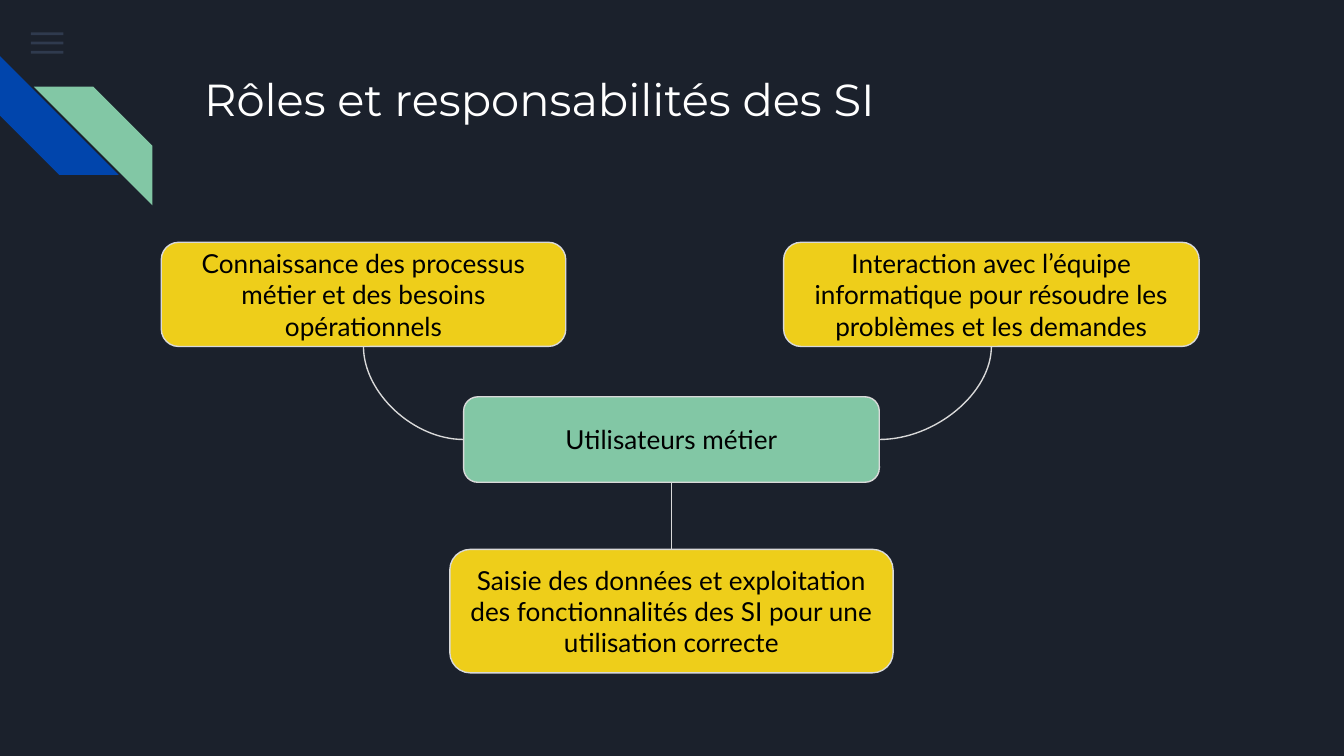
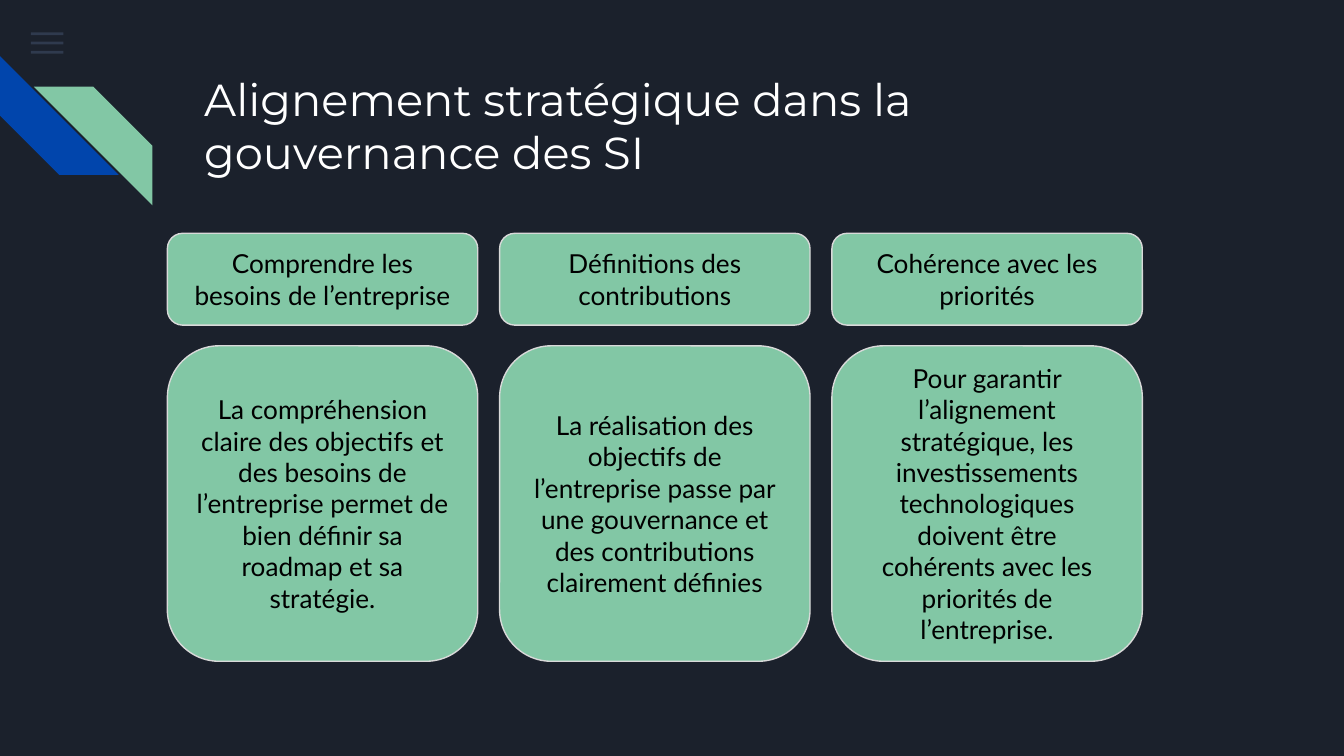
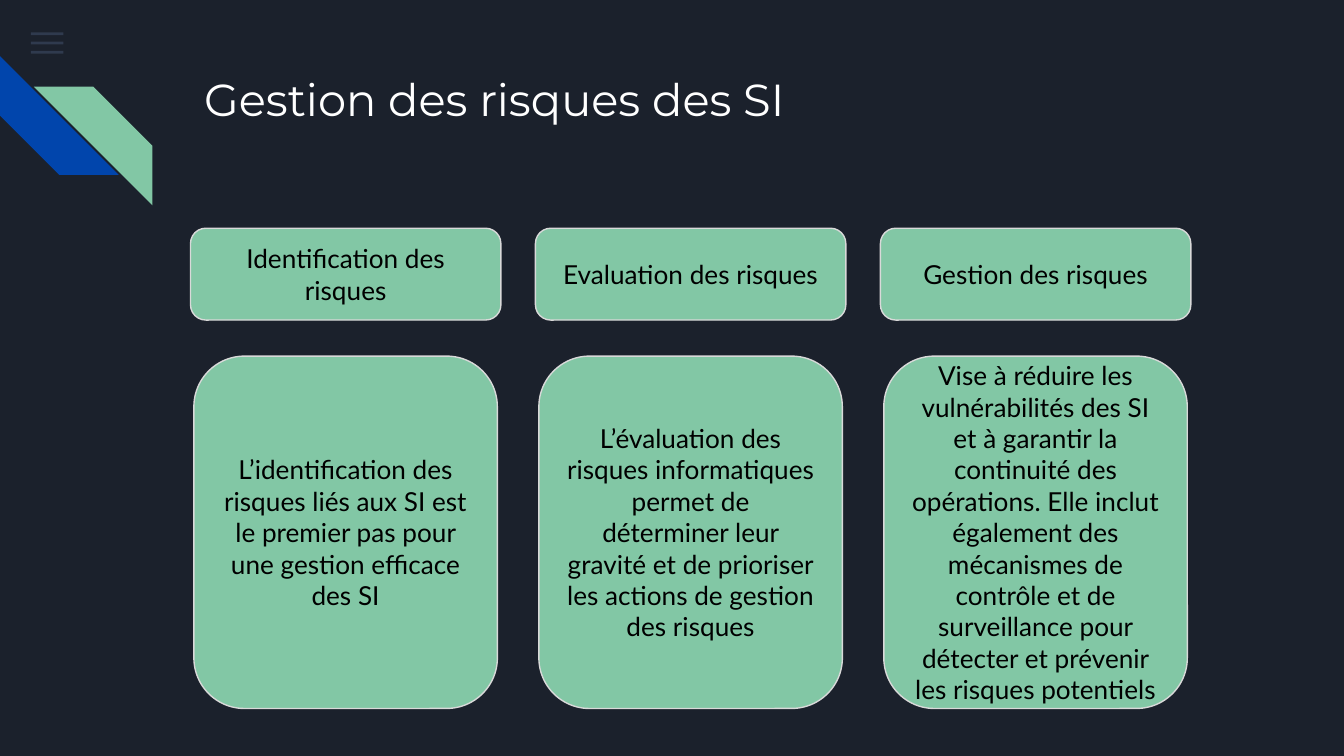
"""Build three slides on the governance of information systems."""
from lxml.etree import SubElement
from pptx import Presentation
from pptx.dml.color import RGBColor
from pptx.enum.shapes import MSO_CONNECTOR as CONN, MSO_SHAPE as SHAPE
from pptx.enum.text import MSO_ANCHOR as ANCHOR, MSO_AUTO_SIZE as AUTO, PP_ALIGN as ALIGN
from pptx.oxml.ns import qn
from pptx.util import Pt

BACK, WHITE, BLACK = "1B212C", "FFFFFF", "000000"
BLUE, GREEN, YELLOW, SLATE, EDGE = "0145AC", "82C7A5", "EECE1A", "55688B", "D9D9D9"
TOP, LEFT, BOTTOM, RIGHT = range(4)
ROLES = [
    ("Connaissance des processus métier et des besoins opérationnels",
     (86.4, 129.8, 216.7, 55.8), LEFT, BOTTOM, CONN.CURVE),
    ("Interaction avec l’équipe informatique pour résoudre les problèmes et les demandes",
     (419.8, 129.8, 222.6, 55.8), RIGHT, BOTTOM, CONN.CURVE),
    ("Saisie des données et exploitation des fonctionnalités des SI pour une utilisation correcte",
     (241, 294.3, 237.5, 66.2), BOTTOM, TOP, CONN.STRAIGHT),
]
ALIGNMENT = [
    ("Comprendre les besoins de l’entreprise",
     "La compréhension claire des objectifs et des besoins de l’entreprise permet de bien "
     "définir sa roadmap et sa stratégie."),
    ("Définitions des contributions",
     "La réalisation des objectifs de l’entreprise passe par une gouvernance et des "
     "contributions clairement définies"),
    ("Cohérence avec les priorités",
     "Pour garantir l’alignement stratégique, les investissements technologiques doivent "
     "être cohérents avec les priorités de l’entreprise."),
]
RISKS = [
    ("Identification des risques",
     "L’identification des risques liés aux SI est le premier pas pour une gestion efficace des SI"),
    ("Evaluation des risques",
     "L’évaluation des risques informatiques permet de déterminer leur gravité et de "
     "prioriser les actions de gestion des risques"),
    ("Gestion des risques",
     "Vise à réduire les vulnérabilités des SI et à garantir la continuité des opérations. "
     "Elle inclut également des mécanismes de contrôle et de surveillance pour détecter et "
     "prévenir les risques potentiels"),
]


def rgb(color):
    return RGBColor.from_string(color)


class Deck:
    def __init__(self):
        self.prs = Presentation()
        self.prs.slide_width, self.prs.slide_height = Pt(720), Pt(405)
        self.layout = self.prs.slide_layouts[5]
        fill = self.prs.slide_master.background.fill
        fill.solid()
        fill.fore_color.rgb = rgb(BACK)
        self.slide = None

    def new_slide(self, title):
        first = self.slide is None
        self.slide = self.prs.slides.add_slide(self.layout)
        if first:
            self.decorate_layout()
        sp = self.slide.shapes.title
        sp.left, sp.top, sp.width, sp.height = Pt(102.2), Pt(31), Pt(554.4), Pt(72)
        self.set_text(sp, title, "Montserrat", 24, WHITE, ALIGN.LEFT, ANCHOR.TOP)

    def decorate_layout(self):
        parts = []
        for i in range(3):
            bar = self.shape(SHAPE.RECTANGLE, (16.6, 17.3 + 4.95 * i, 17.4, 1.5), SLATE)
            for clr in bar.element.iter(qn("a:srgbClr")):
                SubElement(clr, qn("a:alpha")).set("val", "36000")
            parts.append(bar)
        for x, y, color, angle in ((0, 30.1, BLUE, 270), (18.1, 46.4, GREEN, 90)):
            stripe = self.shape(SHAPE.DIAGONAL_STRIPE, (x, y, 63.6, 63.6), color)
            stripe.rotation = angle
            parts.append(stripe)
        for sp in parts:
            self.layout.shapes.element.append(sp.element)

    def shape(self, kind, at, color):
        sp = self.slide.shapes.add_shape(kind, *map(Pt, at))
        sp.shadow.inherit = False
        sp.fill.solid()
        sp.fill.fore_color.rgb = rgb(color)
        sp.line.fill.background()
        return sp

    def set_text(self, sp, text, font, size, color, align, anchor):
        tf = sp.text_frame
        tf.text = text
        tf.word_wrap, tf.auto_size, tf.vertical_anchor = True, AUTO.NONE, anchor
        tf.margin_left = tf.margin_right = tf.margin_top = tf.margin_bottom = Pt(7.2)
        p = tf.paragraphs[0]
        p.alignment = align
        for r in p.runs:
            r.font.name, r.font.size = font, Pt(size)
            r.font.color.rgb = rgb(color)

    def card(self, text, at, color=GREEN):
        sp = self.shape(SHAPE.ROUNDED_RECTANGLE, at, color)
        sp.line.color.rgb = rgb(EDGE)
        sp.line.width = Pt(0.75)
        self.set_text(sp, text, "Lato", 14, BLACK, ALIGN.CENTER, ANCHOR.MIDDLE)
        return sp

    def connect(self, start, start_site, end, end_site, kind):
        line = self.slide.shapes.add_connector(kind, Pt(0), Pt(0), Pt(0), Pt(0))
        line.begin_connect(start, start_site)
        line.end_connect(end, end_site)
        line.line.color.rgb = rgb(EDGE)
        line.line.width = Pt(0.75)
        spPr = line.element.spPr
        if kind == CONN.CURVE:
            spPr.find(qn("a:prstGeom")).set("prst", "curvedConnector2")
        SubElement(spPr, qn("a:effectLst"))

    def columns(self, pairs, center, step, head, body):
        for row, (y, w, h) in enumerate((head, body)):
            for i, pair in enumerate(pairs):
                self.card(pair[row], (center + i * step - w / 2, y, w, h))


def main():
    deck = Deck()
    deck.new_slide("Rôles et responsabilités des SI")
    hub = deck.card("Utilisateurs métier", (248.4, 212.6, 222.7, 45.8))
    for text, at, hub_site, site, kind in ROLES:
        role = deck.card(text, at, YELLOW)
        deck.connect(hub, hub_site, role, site, kind)

    deck.new_slide("Alignement stratégique dans la gouvernance des SI")
    deck.columns(ALIGNMENT, 172.8, 178, (125, 166.3, 49.2), (185.3, 166.3, 169))

    deck.new_slide("Gestion des risques des SI")
    deck.columns(RISKS, 185.2, 184.8, (122.3, 166.3, 49.2), (190.8, 162.6, 188.8))
    deck.prs.save("out.pptx")


if __name__ == "__main__":
    main()
